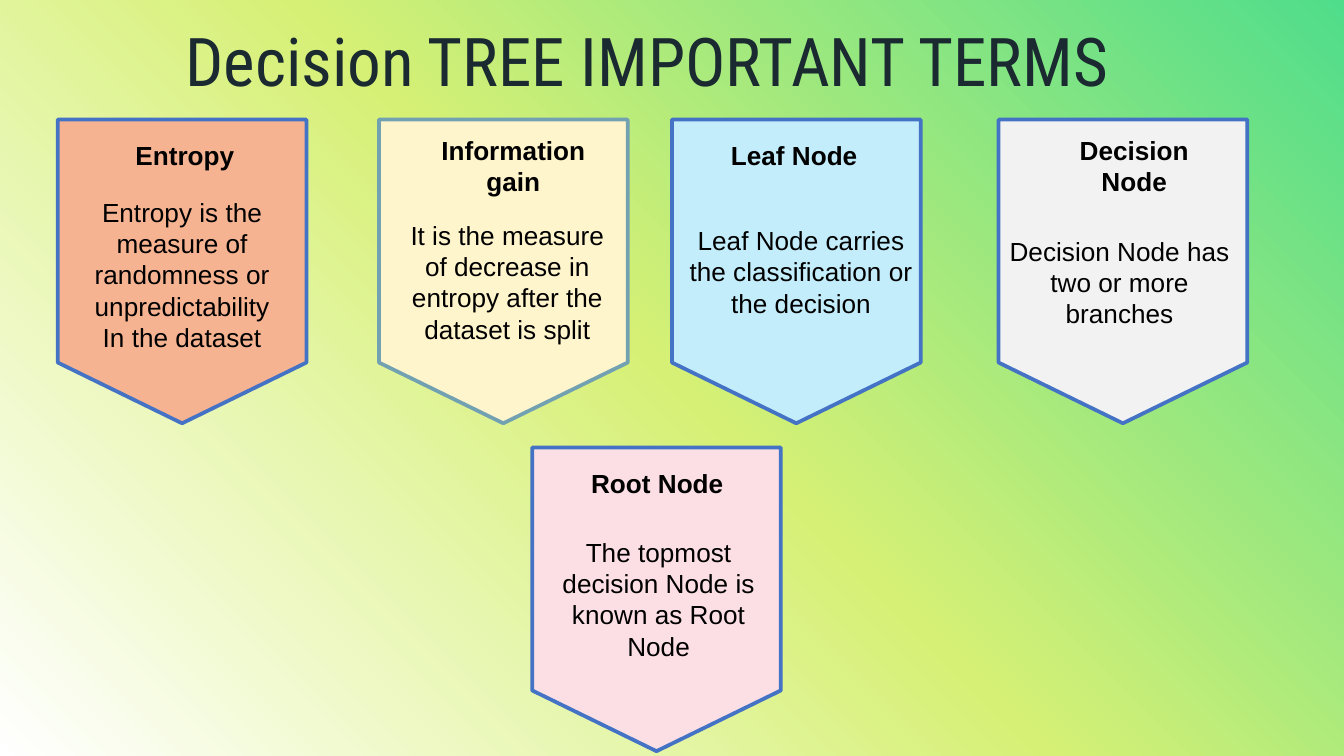
from pptx import Presentation
from pptx import oxml, util as u
from pptx.dml.color import RGBColor
from pptx.enum import shapes, text
from pptx.oxml.ns import nsdecls

Inches = u.Inches


def color(hex_string):
    return RGBColor.from_string(hex_string)


def add_text(slide, box, lines, size=14, font="Arial", fill="000000", bold=False,
             align=text.PP_ALIGN.CENTER, spacing=None, inset=None):
    frame = slide.shapes.add_textbox(*[Inches(length) for length in box]).text_frame
    frame.word_wrap = True
    if inset is not None:
        frame.margin_left = frame.margin_right = Inches(inset)
        frame.margin_top = frame.margin_bottom = Inches(inset)
    for index, line in enumerate(lines):
        paragraph = frame.add_paragraph() if index else frame.paragraphs[0]
        paragraph.alignment = align
        if spacing:
            paragraph.line_spacing = spacing
        run = paragraph.add_run()
        run.text = line
        run.font.size = u.Pt(size)
        run.font.name = font
        run.font.bold = bold
        run.font.color.rgb = color(fill)


# Widescreen slide, 16 by 9
presentation = Presentation()
presentation.slide_width = Inches(10)
presentation.slide_height = Inches(10 * 9 / 16)
slide = presentation.slides.add_slide(presentation.slide_layouts[6])

# Background: circular gradient spreading from the bottom left corner
stops = "".join(
    f'<a:gs pos="{percent * 1000}"><a:srgbClr val="{value}"/></a:gs>'
    for percent, value in [(0, "FFFFFF"), (50, "D6F075"), (100, "50DD8B")])
slide.element.cSld.insert(0, oxml.parse_xml(
    f'<p:bg {nsdecls("p", "a")}><p:bgPr><a:gradFill rotWithShape="1">'
    f'<a:gsLst>{stops}</a:gsLst><a:path path="circle">'
    '<a:fillToRect l="0" t="100000" r="100000" b="0"/></a:path>'
    '</a:gradFill><a:effectLst/></p:bgPr></p:bg>'))

# Title
add_text(slide, (0.75, 0.21, 8.13, 0.58), ["Decision TREE IMPORTANT TERMS"],
         size=36, font="Roboto Condensed", fill="1A2A30", spacing=0.9, inset=0)

# Cards: position, fill, line, heading, heading box, description, description box
BLUE, TEAL = "4472C4", "72A1B2"
LEFT, CENTER = text.PP_ALIGN.LEFT, text.PP_ALIGN.CENTER
cards = [
    (0.43, 0.89, "F6B391", BLUE, "Entropy", (0.91, 0.99, 0.96, 0.34), LEFT,
     ["Entropy is the measure of randomness or unpredictability", "In the dataset"],
     (0.53, 1.41, 1.65, 1.28)),
    (2.82, 0.89, "FFF5CC", TEAL, "Information gain", (3.15, 0.95, 1.34, 0.57), CENTER,
     ["It is the measure of decrease in entropy after the dataset is split"],
     (2.95, 1.58, 1.65, 1.04)),
    (5, 0.89, "C3EDFB", BLUE, "Leaf Node", (5.34, 0.99, 1.23, 0.34), LEFT,
     ["Leaf Node carries the classification or the decision"],
     (5, 1.62, 1.92, 0.81)),
    (7.43, 0.89, "F2F2F2", BLUE, "Decision Node", (7.81, 0.95, 1.26, 0.57), CENTER,
     ["Decision Node has two or more branches"],
     (7.37, 1.7, 1.92, 0.81)),
    (3.96, 3.33, "FBDFE4", BLUE, "Root Node", (4.3, 3.43, 1.27, 0.34), LEFT,
     ["The topmost decision Node is known as Root Node"],
     (3.94, 3.94, 1.92, 1.04)),
]
for (left, top, fill, line, heading, heading_box, heading_align,
     description, description_box) in cards:
    card = slide.shapes.add_shape(
        shapes.MSO_SHAPE.FLOWCHART_OFFPAGE_CONNECTOR,
        Inches(left), Inches(top), Inches(1.85), Inches(2.26))
    card.shadow.inherit = False
    card.fill.solid()
    card.fill.fore_color.rgb = color(fill)
    card.line.color.rgb = color(line)
    card.line.width = u.Pt(2)
    add_text(slide, heading_box, [heading], bold=True, align=heading_align)
    add_text(slide, description_box, description)

presentation.save("out.pptx")
